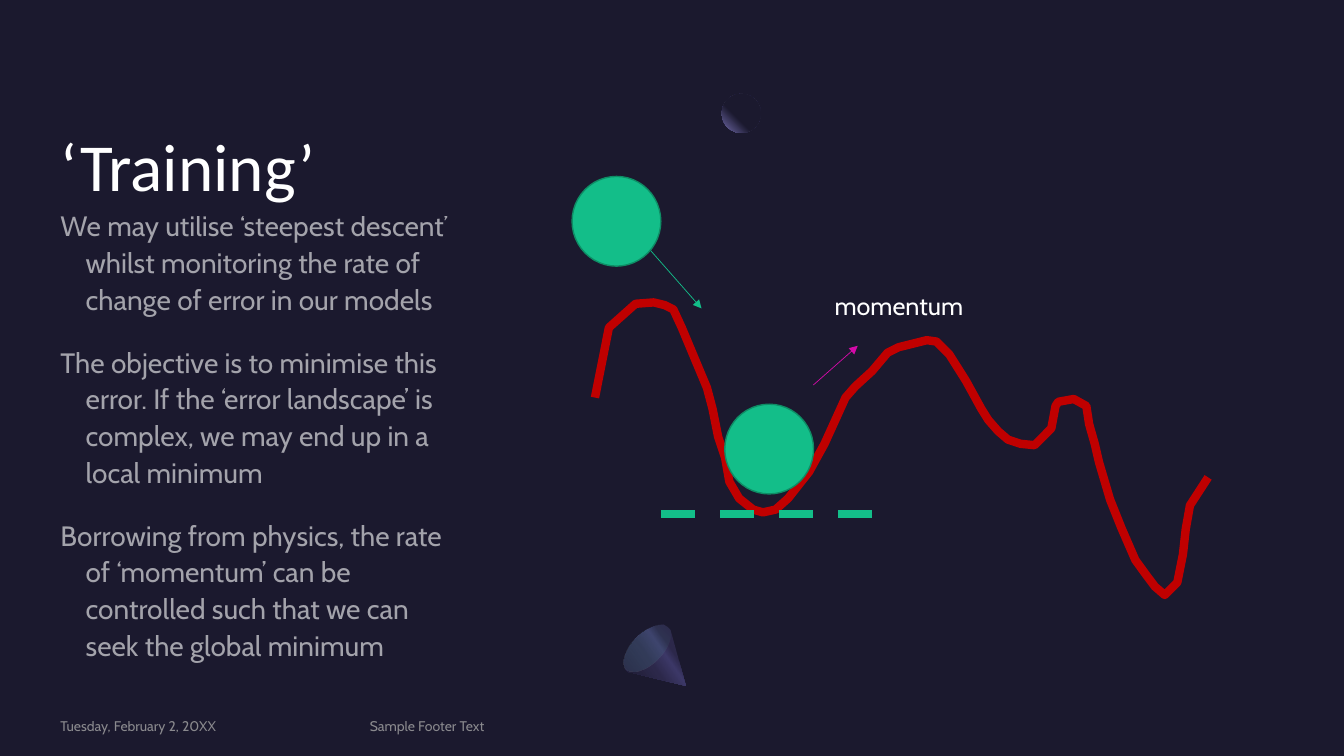
from lxml import etree
from pptx import Presentation, util as u
from pptx.dml.color import RGBColor
from pptx.enum import dml, shapes, text
from pptx.oxml import ns

C = {"night": "1B192E", "indigo": "2C284A", "violet": "3C3867", "iris": "454075",
     "lilac": "7771B2", "mint": "5BEFC1", "green": "13BE89", "edge": "0E8D65",
     "red": "C00000", "pink": "D40AA8", "white": "FFFFFF", "grey": "A6A6A6"}

BODY = [
    "We may utilise ‘steepest descent’ whilst monitoring the rate of change of error in our models",
    "The objective is to minimise this error. If the ‘error landscape’ is complex, "
    "we may end up in a local minimum",
    "Borrowing from physics, the rate of ‘momentum’ can be controlled such that "
    "we can seek the global minimum",
]

LANDSCAPE = [
    (425, 284), (435, 234), (454, 217), (467, 216.5), (475, 218), (481, 221), (487, 234),
    (505, 277), (509, 292), (513, 312), (518, 327), (521, 344), (528, 356), (538, 364),
    (545, 366), (554, 364), (563, 356), (578, 337), (589, 317), (599, 295), (604, 284),
    (611, 276), (623, 265), (634, 252), (642, 248), (662, 243), (669, 244), (678, 253),
    (690, 272), (701, 292), (706, 300), (713, 308), (720, 314), (729, 317), (739, 317.5),
    (751, 306), (754, 290), (756, 287), (767, 285), (776, 290), (778, 303), (782, 317),
    (785, 330), (793, 357), (797, 367), (801, 377), (811, 400), (819, 411), (825, 419),
    (832, 425), (841, 416), (845, 396), (847, 378), (850, 361), (863, 341),
]

CONE = [(490.5, 490.5), (449, 479.5), (447, 478), (446, 474), (447, 468), (450, 461.5),
        (455, 455), (461.5, 450), (468, 447), (474, 446.5), (477, 448), (479, 450)]


class Deck:
    """Current slide plus the shared styling."""

    def __init__(self):
        self.prs = Presentation()
        self.prs.slide_width, self.prs.slide_height = u.Pt(960), u.Pt(540)
        self.s = self.prs.slides.add_slide(self.prs.slide_layouts[1])
        fill = self.s.background.fill
        fill.solid()
        fill.fore_color.rgb = self.rgb("night")

    def rgb(self, name):
        return RGBColor.from_string(C[name])

    def place(self, sp, x, y, w, h):
        sp.left, sp.top, sp.width, sp.height = (u.Pt(v) for v in (x, y, w, h))

    def frame(self, sp, anchor, inset=0):
        tf = sp.text_frame
        tf.word_wrap = True
        tf.auto_size = text.MSO_AUTO_SIZE.NONE
        tf.vertical_anchor = anchor
        if inset is not None:
            tf.margin_left = tf.margin_top = tf.margin_right = tf.margin_bottom = u.Pt(inset)
        return tf

    def run(self, p, words, size, color="white", font="Cabin", alpha=100):
        p.alignment = text.PP_ALIGN.LEFT
        r = p.add_run()
        r.text = words
        r.font.size, r.font.name = u.Pt(size), font
        r.font.color.rgb = self.rgb(color)
        if alpha < 100:
            clr = next(r._r.iter(ns.qn("a:srgbClr")))
            etree.SubElement(clr, ns.qn("a:alpha"), val=str(alpha * 1000))

    def title(self, words, *box):
        sp = self.s.shapes.title
        self.place(sp, *box)
        p = self.frame(sp, text.MSO_ANCHOR.BOTTOM).paragraphs[0]
        p.line_spacing = 0.9
        self.run(p, words, 48, font="Calibri")

    def body(self, items, *box):
        sp = self.s.placeholders[1]
        self.place(sp, *box)
        tf = self.frame(sp, text.MSO_ANCHOR.TOP)
        for i, words in enumerate(items):
            p = tf.add_paragraph() if i else tf.paragraphs[0]
            p.line_spacing, p.space_before, p.space_after = 1.1, u.Pt(10), u.Pt(8)
            self.run(p, words, 20, alpha=60)
            pPr = p._p.get_or_add_pPr()
            pPr.set("marL", str(u.Pt(18)))
            pPr.set("indent", str(u.Pt(-18)))
            etree.SubElement(pPr, ns.qn("a:buNone"))

    def footer(self, words, *box):
        sp = self.s.shapes.add_textbox(*(u.Pt(v) for v in box))
        p = self.frame(sp, text.MSO_ANCHOR.MIDDLE).paragraphs[0]
        self.run(p, words, 10, "grey", alpha=80)

    def label(self, words, *box):
        sp = self.s.shapes.add_textbox(*(u.Pt(v) for v in box))
        tf = self.frame(sp, text.MSO_ANCHOR.TOP, None)
        tf.auto_size = text.MSO_AUTO_SIZE.SHAPE_TO_FIT_TEXT
        self.run(tf.paragraphs[0], words, 18)

    def ellipse(self, x, y, w, h, fill=None, line=None):
        sp = self.s.shapes.add_shape(shapes.MSO_SHAPE.OVAL, *(u.Pt(v) for v in (x, y, w, h)))
        sp.shadow.inherit = False
        if fill:
            sp.fill.solid()
            sp.fill.fore_color.rgb = self.rgb(fill)
        if line:
            sp.line.color.rgb = self.rgb(line)
            sp.line.width = u.Pt(1)
        else:
            sp.line.fill.background()
        return sp

    def outline(self, points, close):
        fb = self.s.shapes.build_freeform(*points[0], scale=u.Pt(1))
        fb.add_line_segments(points[1:], close=close)
        sp = fb.convert_to_shape()
        sp.shadow.inherit = False
        sp.fill.background()
        sp.line.fill.background()
        return sp

    def gradient(self, sp, stops, angle=None):
        """Stops are (percent, colour, alpha); no angle means circular from the top right."""
        sp.fill.background()
        spPr = sp._element.spPr
        grad = etree.Element(ns.qn("a:gradFill"), rotWithShape="1")
        gs_list = etree.SubElement(grad, ns.qn("a:gsLst"))
        for pos, name, alpha in stops:
            gs = etree.SubElement(gs_list, ns.qn("a:gs"), pos=str(pos * 1000))
            clr = etree.SubElement(gs, ns.qn("a:srgbClr"), val=C[name])
            if alpha < 100:
                etree.SubElement(clr, ns.qn("a:alpha"), val=str(alpha * 1000))
        if angle is None:
            circle = etree.SubElement(grad, ns.qn("a:path"), path="circle")
            etree.SubElement(circle, ns.qn("a:fillToRect"), l="100000", b="100000")
        else:
            etree.SubElement(grad, ns.qn("a:lin"), ang=str(angle * 60000), scaled="0")
        spPr.replace(spPr.find(ns.qn("a:noFill")), grad)

    def line(self, x1, y1, x2, y2, color, width, arrow=False, dash=False):
        cn = self.s.shapes.add_connector(shapes.MSO_CONNECTOR.STRAIGHT,
                                         *(u.Pt(v) for v in (x1, y1, x2, y2)))
        cn.line.color.rgb = self.rgb(color)
        cn.line.width = u.Pt(width)
        if dash:
            cn.line.dash_style = dml.MSO_LINE.DASH
        if arrow:
            etree.SubElement(cn.line._get_or_add_ln(), ns.qn("a:tailEnd"), type="triangle")
        etree.SubElement(cn._element.spPr, ns.qn("a:effectLst"))


def main():
    d = Deck()
    moon = d.ellipse(515.5, 67, 28, 28)
    d.gradient(moon, [(60, "night", 100), (100, "lilac", 100)])
    cone = d.outline(CONE, True)
    d.gradient(cone, [(30, "indigo", 100), (40, "violet", 100),
                      (60, "indigo", 100), (100, "night", 100)], 145)
    rim = d.ellipse(451.4, 441.4, 21.6, 42.5)
    rim.rotation = 225
    d.gradient(rim, [(0, "iris", 33), (100, "mint", 0)], 90)

    d.title("‘Training’", 43.2, 43.2, 280.8, 103.7)
    d.body(BODY, 43.2, 146.9, 280.8, 332.6)
    d.footer("Tuesday, February 2, 20XX", 43.2, 512.6, 207.4, 12.2)
    d.footer("Sample Footer Text", 264.2, 512.6, 502.6, 12.2)

    curve = d.outline(LANDSCAPE, False)
    curve.line.color.rgb = d.rgb("red")
    curve.line.width = u.Pt(6)
    d.line(464.4, 178.6, 501.1, 220.3, "green", 0.5, arrow=True)
    for x, y in ((408.6, 126), (517.7, 288.7)):
        d.ellipse(x, y, 63.4, 64.1, "green", "edge")
    d.line(472.3, 367.2, 623.5, 367.2, "green", 6, dash=True)
    d.line(581, 275, 612.7, 247, "pink", 0.5, arrow=True)
    d.label("momentum", 589, 203.8, 137.5, 41)
    d.prs.save("out.pptx")


if __name__ == "__main__":
    main()
